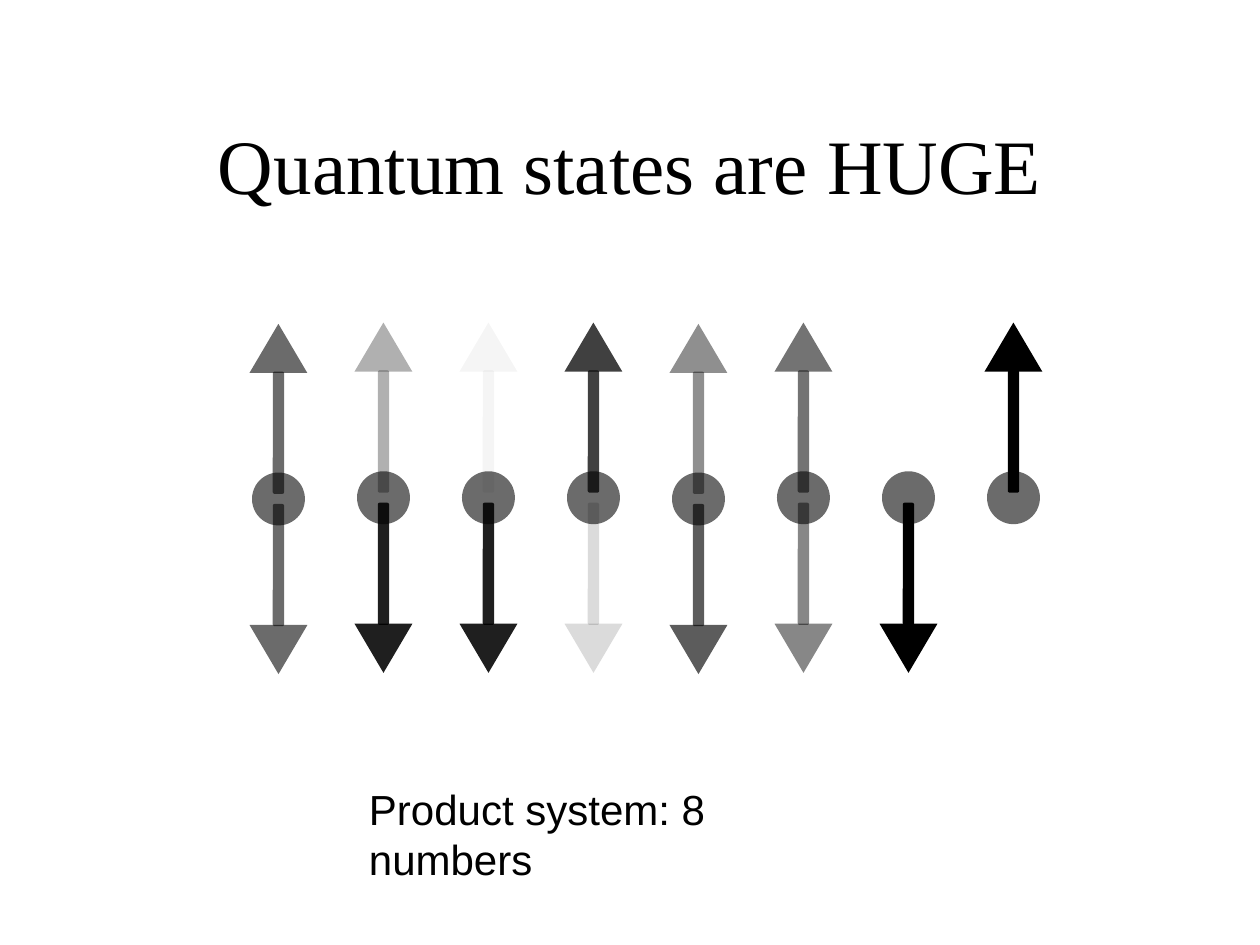
import pptx
import pptx.dml.color
import pptx.enum.shapes
import pptx.enum.text
import pptx.util
from lxml import etree

COLORS = {"ink": "000000"}
WIDTH, HEIGHT = 10, 7.5
COLUMN = WIDTH / 12
FIRST_CENTER = 2.21
MIDDLE = 3.95
DOT = 0.42
HEAD_WIDTH, HEAD_HEIGHT = 0.46, 0.39
SHAFT_WIDTH, SHAFT_HEIGHT = 0.09, 0.97
GAP = 0.04
REACH = 1.39
DOT_OPACITY = 58
SPINS = [(58, 58), (31, 88), (4, 88), (75, 14), (44, 64), (55, 47), (None, 100), (100, None)]
SHAPES = pptx.enum.shapes.MSO_SHAPE


def add_solid(shapes, kind, center_x, center_y, width, height, opacity):
    shape = shapes.add_shape(
        kind,
        pptx.util.Inches(center_x - width / 2),
        pptx.util.Inches(center_y - height / 2),
        pptx.util.Inches(width),
        pptx.util.Inches(height),
    )
    shape.shadow.inherit = False
    shape.line.fill.background()
    shape.fill.solid()
    shape.fill.fore_color.rgb = pptx.dml.color.RGBColor.from_string(COLORS["ink"])
    if opacity < 100:
        color = shape.fill._xPr.find(".//" + pptx.oxml.ns.qn("a:srgbClr"))
        etree.SubElement(color, pptx.oxml.ns.qn("a:alpha"), val=str(opacity * 1000))
    return shape


def add_arrow(slide, center_x, center_y, direction, opacity):
    group = slide.shapes.add_group_shape()
    head = add_solid(
        group.shapes, SHAPES.ISOSCELES_TRIANGLE, center_x,
        center_y + direction * (REACH - HEAD_HEIGHT / 2), HEAD_WIDTH, HEAD_HEIGHT, opacity,
    )
    head.rotation = 180 if direction > 0 else 0
    shaft = add_solid(
        group.shapes, SHAPES.ROUNDED_RECTANGLE, center_x,
        center_y + direction * (GAP + SHAFT_HEIGHT / 2), SHAFT_WIDTH, SHAFT_HEIGHT, opacity,
    )
    shaft.adjustments[0] = 0.17


def add_spin(slide, index, up, down):
    center_x = FIRST_CENTER + index * COLUMN
    center_y = MIDDLE + (0.01 if index % 4 == 0 else 0)
    add_solid(slide.shapes, SHAPES.OVAL, center_x, center_y, DOT, DOT, DOT_OPACITY)
    for direction, opacity in ((-1, up), (1, down)):
        if opacity is not None:
            add_arrow(slide, center_x, center_y, direction, opacity)


def add_text(slide, text, left, top, width, height, font, size, align, anchor, wrap):
    box = slide.shapes.add_textbox(*(pptx.util.Inches(value) for value in (left, top, width, height)))
    frame = box.text_frame
    frame.text = text
    frame.word_wrap = wrap
    frame.vertical_anchor = anchor
    paragraph = frame.paragraphs[0]
    paragraph.alignment = align
    run_font = paragraph.runs[0].font
    run_font.name = font
    run_font.size = pptx.util.Pt(size)
    run_font.color.rgb = pptx.dml.color.RGBColor.from_string(COLORS["ink"])


def main():
    presentation = pptx.Presentation()
    presentation.slide_width = pptx.util.Inches(WIDTH)
    presentation.slide_height = pptx.util.Inches(HEIGHT)
    slide = presentation.slides.add_slide(presentation.slide_layouts[6])
    align = pptx.enum.text.PP_ALIGN
    anchor = pptx.enum.text.MSO_ANCHOR
    add_text(slide, "Quantum states are HUGE", 0.75, 0.67, 8.5, 1.25,
             "Times New Roman", 44, align.CENTER, anchor.MIDDLE, True)
    for index, (up, down) in enumerate(SPINS):
        add_spin(slide, index, up, down)
    add_text(slide, "Product system: 8 numbers", 2.83, 6.17, 4.25, 0.5,
             "Arial", 24, align.LEFT, anchor.TOP, False)
    presentation.save("out.pptx")


if __name__ == "__main__":
    main()
